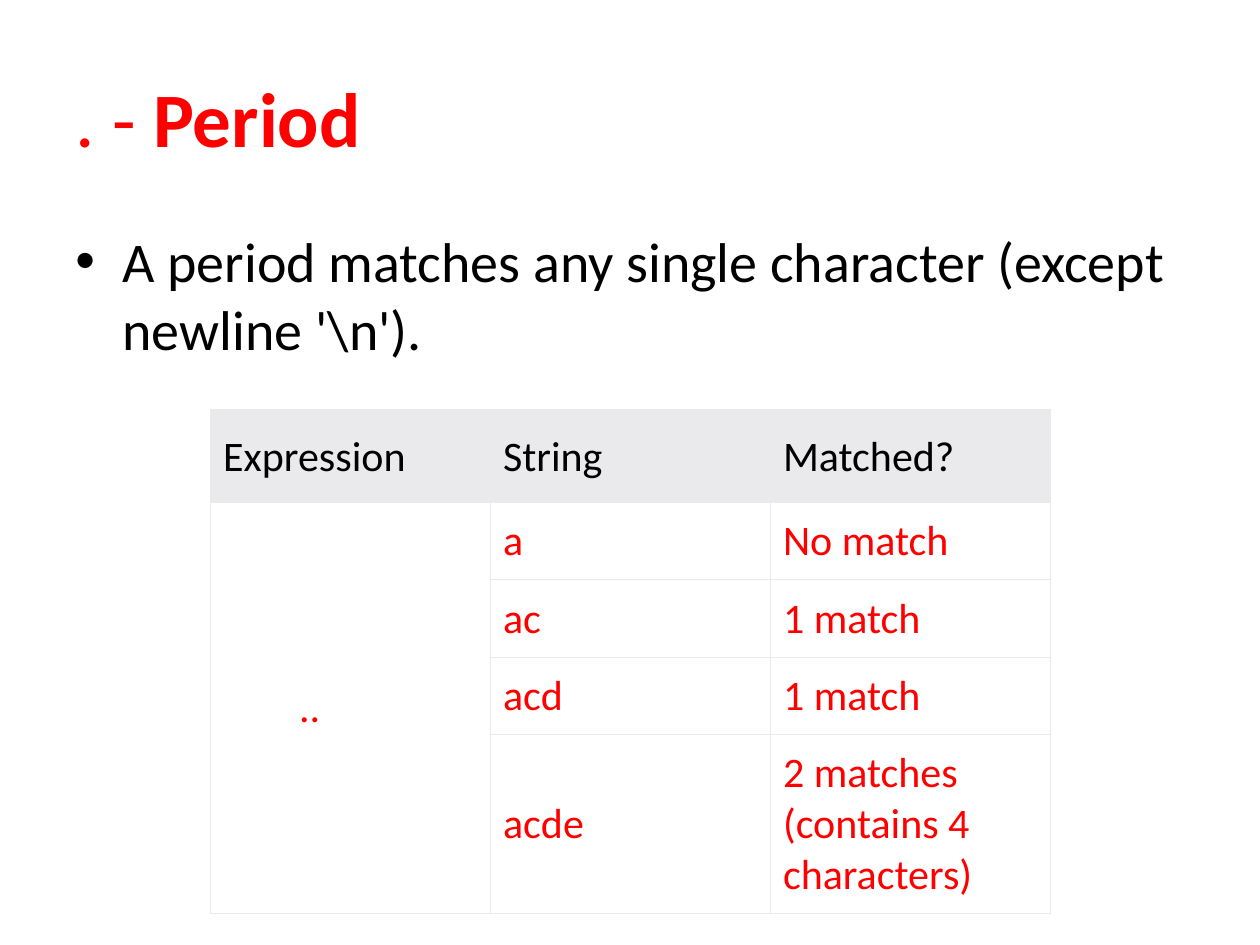
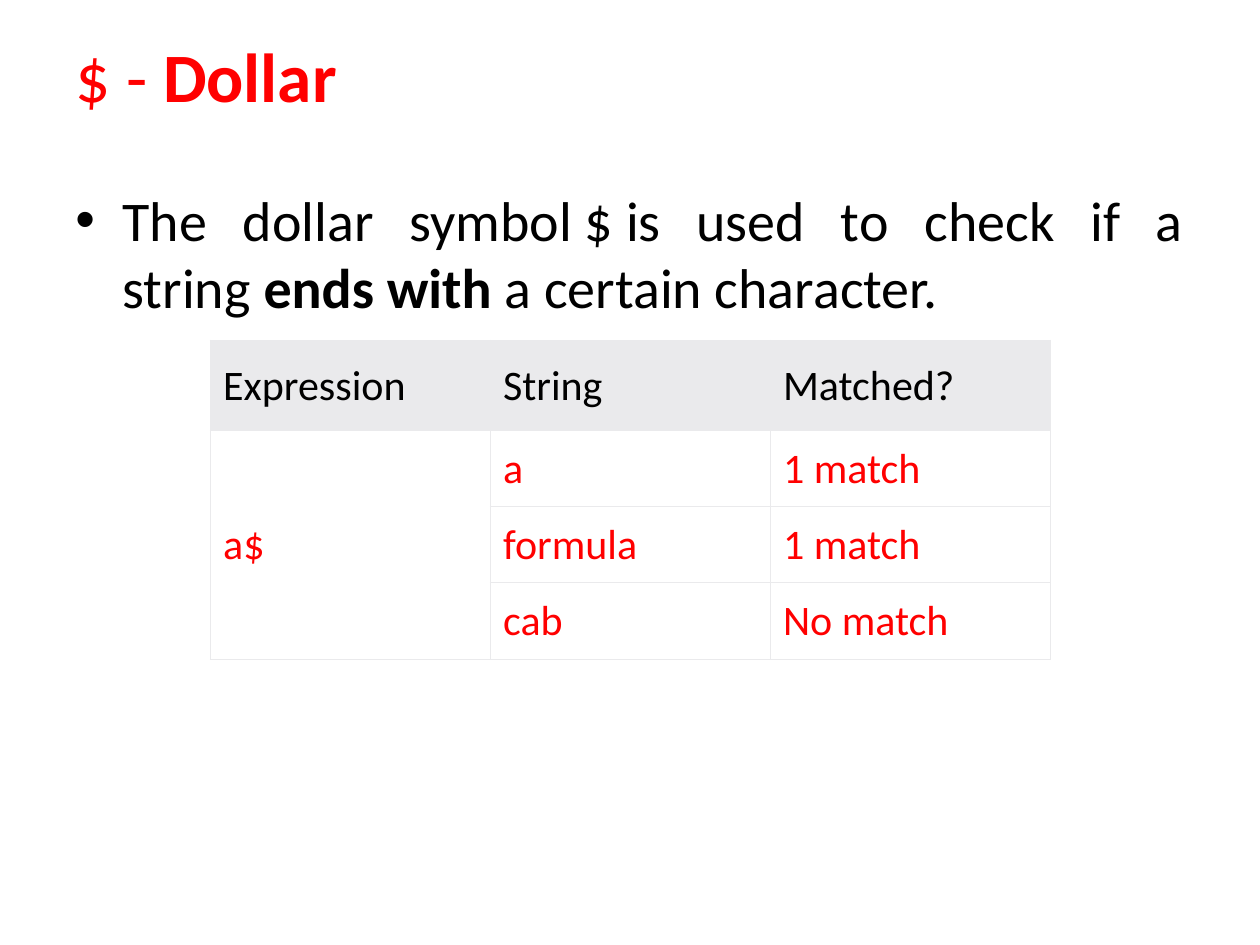
import dataclasses
import pptx
import pptx.dml.color
import pptx.enum.text
import pptx.oxml
import pptx.oxml.ns
import pptx.util
import lxml.etree

Cm = pptx.util.Cm
Pt = pptx.util.Pt
Align = pptx.enum.text.PP_ALIGN
Anchor = pptx.enum.text.MSO_ANCHOR


@dataclasses.dataclass(frozen=True)
class Theme:
    font: str = "Calibri"
    accent: str = "FF0000"
    ink: str = "000000"
    header: str = "EAEAEC"
    paper: str = "FFFFFF"
    title_size: float = 44
    small_title_size: float = 39.6
    body_size: float = 32
    table_size: float = 24
    border: float = 0.75


@dataclasses.dataclass(frozen=True)
class Box:
    left: float
    top: float
    width: float
    height: float

    def lengths(self):
        return Cm(self.left), Cm(self.top), Cm(self.width), Cm(self.height)


THEME = Theme()
HARD_SPACE = chr(160)  # keeps words together and does not stretch
TITLE_BOX = Box(1.27, 0.76, 22.86, 3.18)
HEADINGS = ["Expression", "String", "Matched?"]
HEADER_INSETS = (0.26, 0.41, 0.2, 0.38)
CELL_INSETS = (0.26, 0.25, 0.2, 0.23)


def add_span(para, text, size, color, bold=False):
    span = para.add_run()
    span.text = text
    span.font.name = THEME.font
    span.font.size = Pt(size)
    span.font.bold = bold
    span.font.color.rgb = pptx.dml.color.RGBColor.from_string(color)


def set_indent(para, left, first=0.0):
    properties = para._p.get_or_add_pPr()
    properties.set("marL", str(Cm(left)))
    properties.set("indent", str(Cm(first)))
    return properties


def add_text_frame(page, box, anchor):
    frame = page.shapes.add_textbox(*box.lengths()).text_frame
    frame.word_wrap = True
    frame.vertical_anchor = anchor
    return frame


def add_title(page, box, symbol, name, size, space_below):
    frame = add_text_frame(page, box, Anchor.MIDDLE)
    frame.margin_bottom = Cm(space_below)
    para = frame.paragraphs[0]
    add_span(para, f"{symbol}{HARD_SPACE}-{HARD_SPACE}", size, THEME.accent)
    add_span(para, name, size, THEME.accent, bold=True)


def add_bullet(page, box, spans, align):
    para = add_text_frame(page, box, Anchor.TOP).paragraphs[0]
    para.alignment = align
    properties = set_indent(para, 0.95, -0.95)
    for tag, key, value in (("a:buFont", "typeface", "Arial"),
                            ("a:buChar", "char", "•")):
        lxml.etree.SubElement(properties, pptx.oxml.ns.qn(tag)).set(key, value)
    for text, bold in spans:
        add_span(para, text, THEME.body_size, THEME.ink, bold)


def add_borders(cell):
    properties = cell._tc.get_or_add_tcPr()
    for place, side in enumerate(("lnL", "lnR", "lnT", "lnB")):
        properties.insert(place, pptx.oxml.parse_xml(
            f'<a:{side} {pptx.oxml.ns.nsdecls("a")} w="{Pt(THEME.border)}">'
            f'<a:solidFill><a:srgbClr val="{THEME.header}"/></a:solidFill>'
            f'</a:{side}>'))


def fill_cell(cell, text, is_header):
    cell.fill.solid()
    fill = THEME.header if is_header else THEME.paper
    cell.fill.fore_color.rgb = pptx.dml.color.RGBColor.from_string(fill)
    add_borders(cell)
    cell.vertical_anchor = Anchor.MIDDLE
    insets = HEADER_INSETS if is_header else CELL_INSETS
    (cell.margin_left, cell.margin_top,
     cell.margin_right, cell.margin_bottom) = map(Cm, insets)
    if text:
        color = THEME.ink if is_header else THEME.accent
        add_span(cell.text_frame.paragraphs[0], text, THEME.table_size, color)


def add_match_table(page, box, row_heights, expression, results, indent):
    rows = [HEADINGS] + [["", *result] for result in results]
    rows[1][0] = expression
    table = page.shapes.add_table(
        len(rows), len(HEADINGS), *box.lengths()).table
    for column in table.columns:
        column.width = Cm(box.width / len(HEADINGS))
    for row, height in zip(table.rows, row_heights):
        row.height = Cm(height)
    for row_index, texts in enumerate(rows):
        for column_index, text in enumerate(texts):
            fill_cell(table.cell(row_index, column_index), text, row_index == 0)
    # One expression covers all the strings tested
    first = table.cell(1, 0)
    first.merge(table.cell(len(results), 0))
    if indent:
        set_indent(first.text_frame.paragraphs[0], indent)


def add_symbol_page(deck, symbol, name, body_box, spans, table_top, row_heights,
                    expression, results, title_size=THEME.title_size,
                    title_space=0.13, align=Align.LEFT, indent=0):
    page = deck.slides.add_slide(deck.slide_layouts[6])
    add_title(page, TITLE_BOX, symbol, name, title_size, title_space)
    add_bullet(page, body_box, spans, align)
    table_box = Box(4.24, table_top, 16.93, sum(row_heights))
    add_match_table(page, table_box, row_heights, expression, results, indent)


def main():
    deck = pptx.Presentation()
    deck.slide_width, deck.slide_height = Cm(25.4), Cm(19.05)

    # Period
    add_symbol_page(
        deck, ".", "Period", Box(1.27, 4.45, 23.29, 2.97),
        [("A period matches any single character "
          rf"(except newline{HARD_SPACE}'\n').", False)],
        8.26, [1.87, 1.56, 1.56, 1.56, 3.6], "..",
        [("a", "No match"), ("ac", "1 match"), ("acd", "1 match"),
         ("acde", "2 matches (contains 4 characters)")],
        indent=1.53)

    # Dollar
    add_symbol_page(
        deck, "$", "Dollar", Box(1.27, 3.61, 22.86, 4.24),
        [(f"The dollar symbol{HARD_SPACE}${HARD_SPACE}is used to check "
          f"if a string{HARD_SPACE}", False),
         ("ends with", True),
         (f"{HARD_SPACE}a certain character.", False)],
        6.86, [1.81, 1.54, 1.54, 1.54], "a$",
        [("a", "1 match"), ("formula", "1 match"), ("cab", "No match")],
        title_size=THEME.small_title_size, title_space=1.81,
        align=Align.JUSTIFY)

    deck.save("out.pptx")


if __name__ == "__main__":
    main()
